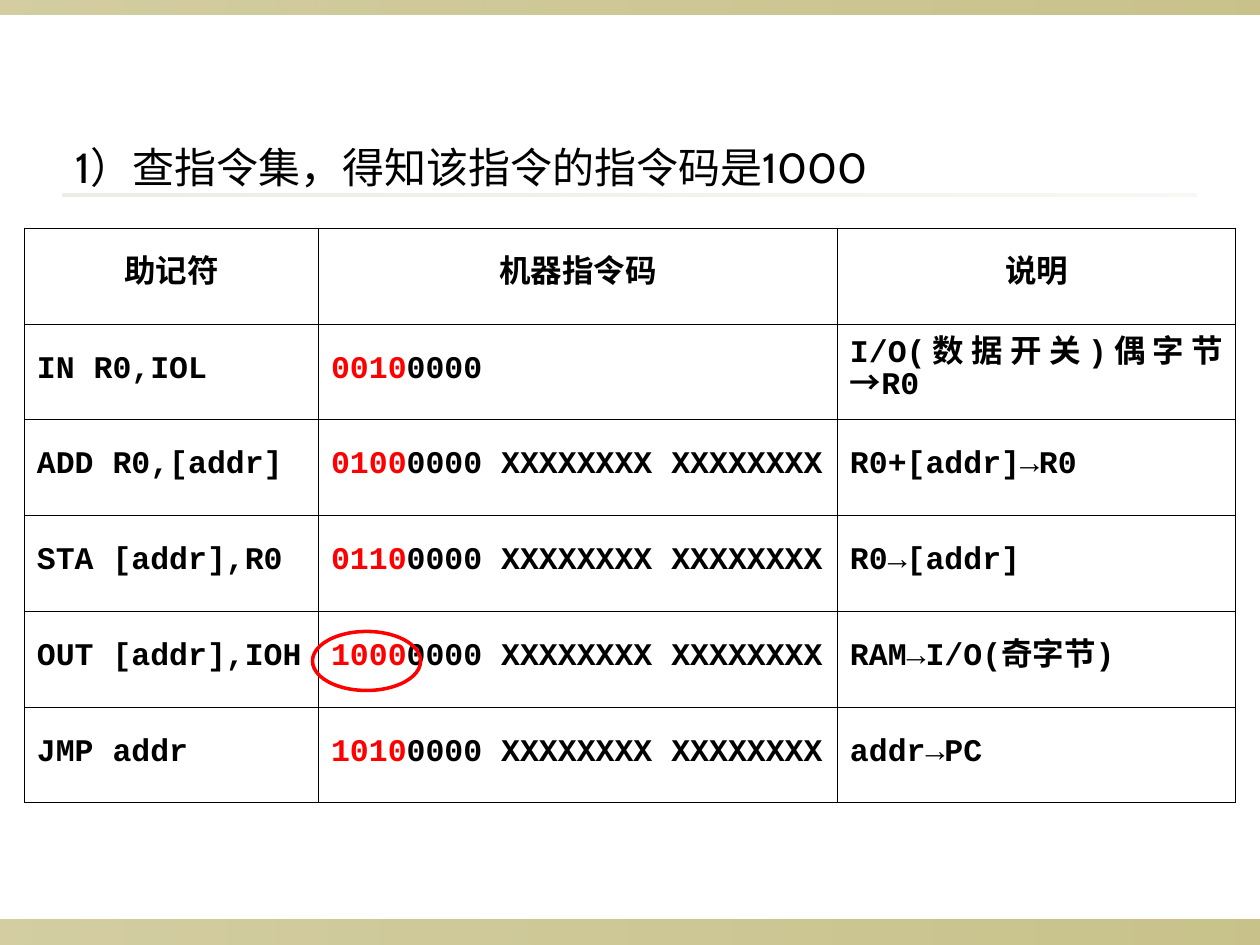
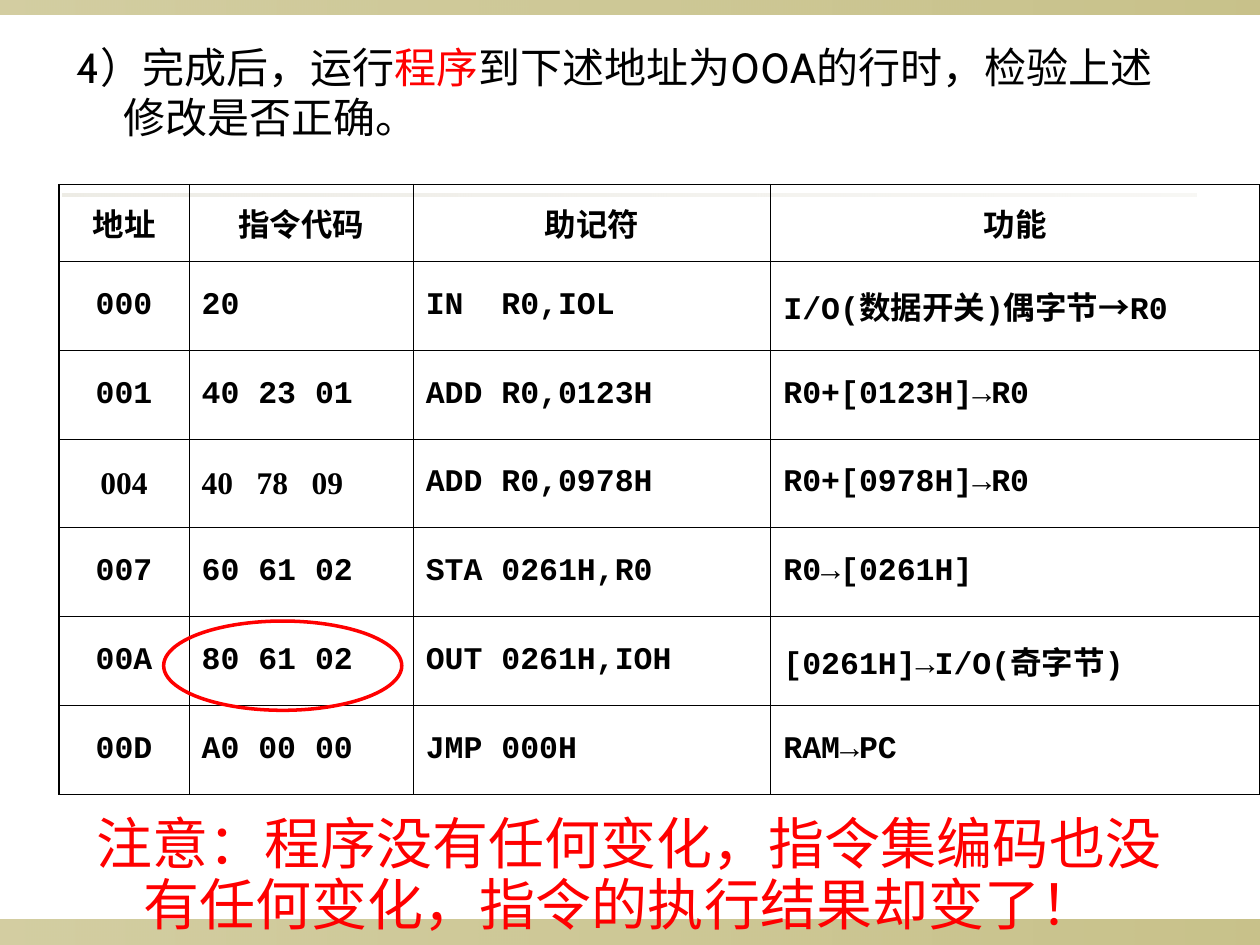
import pptx
import pptx.dml.color
import pptx.enum.lang
import pptx.enum.shapes
import pptx.enum.text
import pptx.oxml
import pptx.oxml.ns
import pptx.util
from pptx.util import Cm

BLACK, RED, OLIVE, STONE = "000000", "FF0000", "918415", "DCD9CC"
BODY, CODE, SERIF = "Cabin", "Courier New", "Times New Roman"
ALIGN = pptx.enum.text.PP_ALIGN
SHAPE = pptx.enum.shapes.MSO_SHAPE
OPERANDS = "0000 XXXXXXXX XXXXXXXX"

INSTRUCTION_SET = [
    ["助记符", "机器指令码", "说明"],
    ["IN R0,IOL", [("0010", RED), ("0000", None)], "I/O(数据开关)偶字节→R0"],
    ["ADD R0,[addr]", [("0100", RED), (OPERANDS, None)], "R0+[addr]→R0"],
    ["STA [addr],R0", [("0110", RED), (OPERANDS, None)], "R0→[addr]"],
    ["OUT [addr],IOH", [("1000", RED), (OPERANDS, None)], "RAM→I/O(奇字节)"],
    ["JMP addr", [("1010", RED), (OPERANDS, None)], "addr→PC"],
]
PROGRAM = [
    ["地址", "指令代码", "助记符", "功能"],
    ["000", "20", "IN  R0,IOL", "I/O(数据开关)偶字节→R0"],
    ["001", "40 23 01", "ADD R0,0123H", "R0+[0123H]→R0"],
    ["004", "40   78   09", "ADD R0,0978H", "R0+[0978H]→R0"],
    ["007", "60 61 02", "STA 0261H,R0", "R0→[0261H]"],
    ["00A", "80 61 02", "OUT 0261H,IOH", "[0261H]→I/O(奇字节)"],
    ["00D", "A0 00 00", "JMP 000H", "RAM→PC"],
]


def rgb(color):
    """Turn a hex string into a colour."""
    return pptx.dml.color.RGBColor.from_string(color)


def write(p, text, font, size, color=BLACK, bold=False):
    """Fill a paragraph from a string or from (text, colour) parts."""
    p.font.name, p.font.size, p.font.bold = font, pptx.util.Pt(size), bold
    p.font.color.rgb = rgb(color)
    parts = [(text, None)] if isinstance(text, str) else text
    for words, run_color in parts:
        r = p.add_run()
        r.text = words
        r.font.language_id = pptx.enum.lang.MSO_LANGUAGE_ID.SIMPLIFIED_CHINESE
        if run_color:
            r.font.color.rgb = rgb(run_color)


def add_band(s, box, color, opacities):
    """Draw a bar that fades from left to right."""
    sp = s.shapes.add_shape(SHAPE.RECTANGLE, *map(Cm, box))
    sp.shadow.inherit = False
    sp.line.fill.background()
    sp.fill.gradient()
    sp.fill.gradient_angle = 0
    for stop, position in zip(sp.fill.gradient_stops, (0, 1)):
        stop.color.rgb = rgb(color)
        stop.position = position
    colors = sp._element.spPr.iter(pptx.oxml.ns.qn("a:srgbClr"))
    for clr, opacity in zip(colors, opacities):
        alpha = pptx.oxml.parse_xml(
            f'<a:alpha {pptx.oxml.ns.nsdecls("a")} val="{opacity * 1000}"/>')
        clr.append(alpha)


def add_base_slide(prs):
    """Add a blank slide with the edge bands and the title rule."""
    s = prs.slides.add_slide(prs.slide_layouts[6])
    add_band(s, (0, 18.54, 25.4, 0.51), OLIVE, (40, 50))
    add_band(s, (0, 0, 25.4, 0.3), OLIVE, (40, 50))
    add_band(s, (1.27, 3.91, 22.86, 0.05), STONE, (50, 20))
    return s


def add_hanging_text(s, box, text, size=24, color=BLACK, before=6, spacing=1.0):
    """Add a paragraph with a hanging indent."""
    tf = s.shapes.add_textbox(*map(Cm, box)).text_frame
    tf.word_wrap = True
    p = tf.paragraphs[0]
    pPr = p._p.get_or_add_pPr()
    pPr.set("marL", str(Cm(0.95)))
    pPr.set("indent", str(-Cm(0.95)))
    p.space_before = pptx.util.Pt(before)
    p.line_spacing = spacing
    write(p, text, BODY, size, color)


def add_borders(cell, widths):
    """Draw the left, right, top and bottom borders of a cell."""
    tcPr = cell._tc.get_or_add_tcPr()
    for side, width in zip("LRTB", widths):
        tcPr.append(pptx.oxml.parse_xml(
            f'<a:ln{side} {pptx.oxml.ns.nsdecls("a")} w="{pptx.util.Pt(width)}">'
            f'<a:solidFill><a:srgbClr val="{BLACK}"/></a:solidFill></a:ln{side}>'))
    cell.fill.background()


def add_code_table(s, left, top, widths, header_height, row_height, rows,
                   centred=(), serif=(), spacing=None):
    """Add a grid with a centred header, thin inner lines and a heavier frame."""
    last_row, last_col = len(rows) - 1, len(widths) - 1
    heights = [header_height] + [row_height] * last_row
    table = s.shapes.add_table(len(rows), len(widths), Cm(left), Cm(top),
                               Cm(sum(widths)), Cm(sum(heights))).table
    table.first_row = table.horz_banding = False
    for column, width in zip(table.columns, widths):
        column.width = Cm(width)
    for row, height in zip(table.rows, heights):
        row.height = Cm(height)
    for i, row in enumerate(rows):
        for j, text in enumerate(row):
            cell = table.cell(i, j)
            cell.vertical_anchor = pptx.enum.text.MSO_ANCHOR.MIDDLE
            p = cell.text_frame.paragraphs[0]
            p.alignment = ALIGN.CENTER if i == 0 or j in centred else ALIGN.JUSTIFY
            if spacing:
                p.line_spacing = pptx.util.Pt(spacing)
            write(p, text, SERIF if (i, j) in serif else CODE, 18, bold=True)
            outer = (j == 0, j == last_col, i == 0, i == last_row)
            add_borders(cell, [0.75 if edge else 0.45 for edge in outer])


def add_ring(s, box):
    """Circle a code in red."""
    sp = s.shapes.add_shape(SHAPE.OVAL, *map(Cm, box))
    sp.shadow.inherit = False
    sp.fill.background()
    sp.line.color.rgb = rgb(RED)
    sp.line.width = pptx.util.Pt(2)


def add_instruction_set_slide(prs):
    """Build the slide that looks up the opcode."""
    s = add_base_slide(prs)
    add_hanging_text(s, (1.27, 2.72, 22.86, 2.29),
                     "1）查指令集，得知该指令的指令码是1000")
    add_code_table(s, 0.49, 4.6, (5.93, 10.46, 8.03), 1.93, 1.93,
                   INSTRUCTION_SET, spacing=18.2)
    add_ring(s, (6.3, 12.73, 2.18, 1.19))


def add_program_slide(prs):
    """Build the slide that checks the change in the program."""
    s = add_base_slide(prs)
    add_hanging_text(s, (1.3, 0.71, 22.86, 3.61), [
        ("4）完成后，运行", None), ("程序", RED),
        ("到下述地址为00A的行时，检验上述修改是否正确。", None)])
    add_code_table(s, 1.19, 3.72, (2.62, 4.52, 7.21, 9.86), 1.55, 1.79,
                   PROGRAM, centred=(0,), serif=((3, 0), (3, 1)))
    add_ring(s, (3.3, 12.52, 4.8, 1.8))
    add_hanging_text(s, (1.7, 16.33, 22.86, 2.72),
                     "注意：程序没有任何变化，指令集编码也没有任何变化，指令的执行结果却变了！",
                     size=32, color=RED, before=8, spacing=0.9)


def main():
    """Build and save the presentation."""
    prs = pptx.Presentation()
    prs.slide_width, prs.slide_height = Cm(25.4), Cm(19.05)
    add_instruction_set_slide(prs)
    add_program_slide(prs)
    prs.save("out.pptx")


if __name__ == "__main__":
    main()
